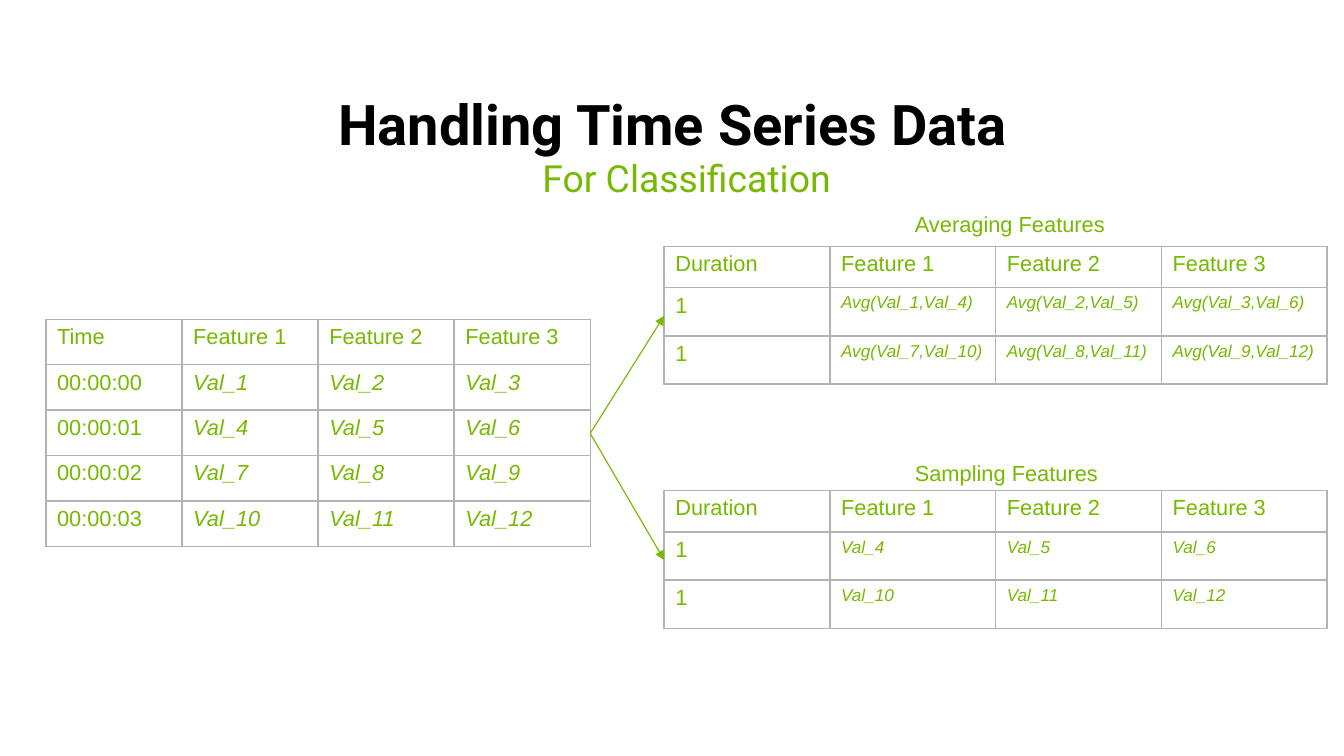
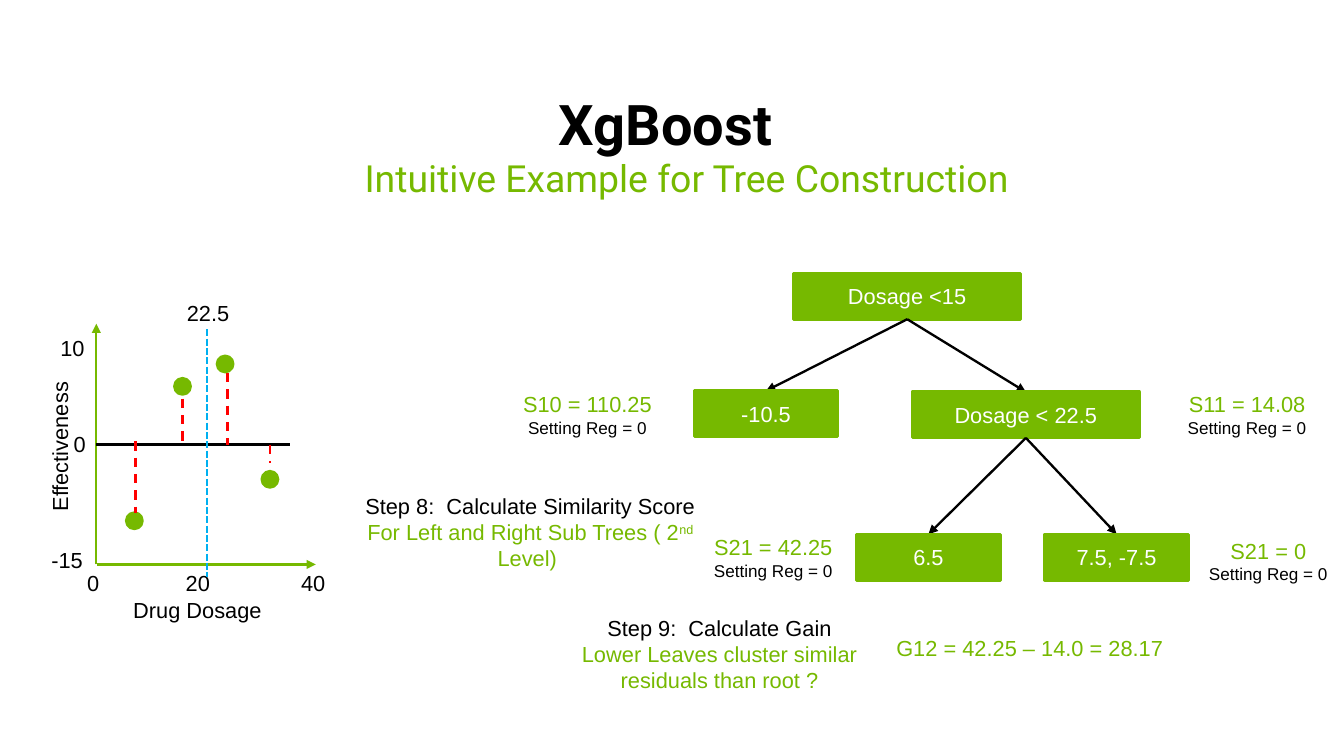
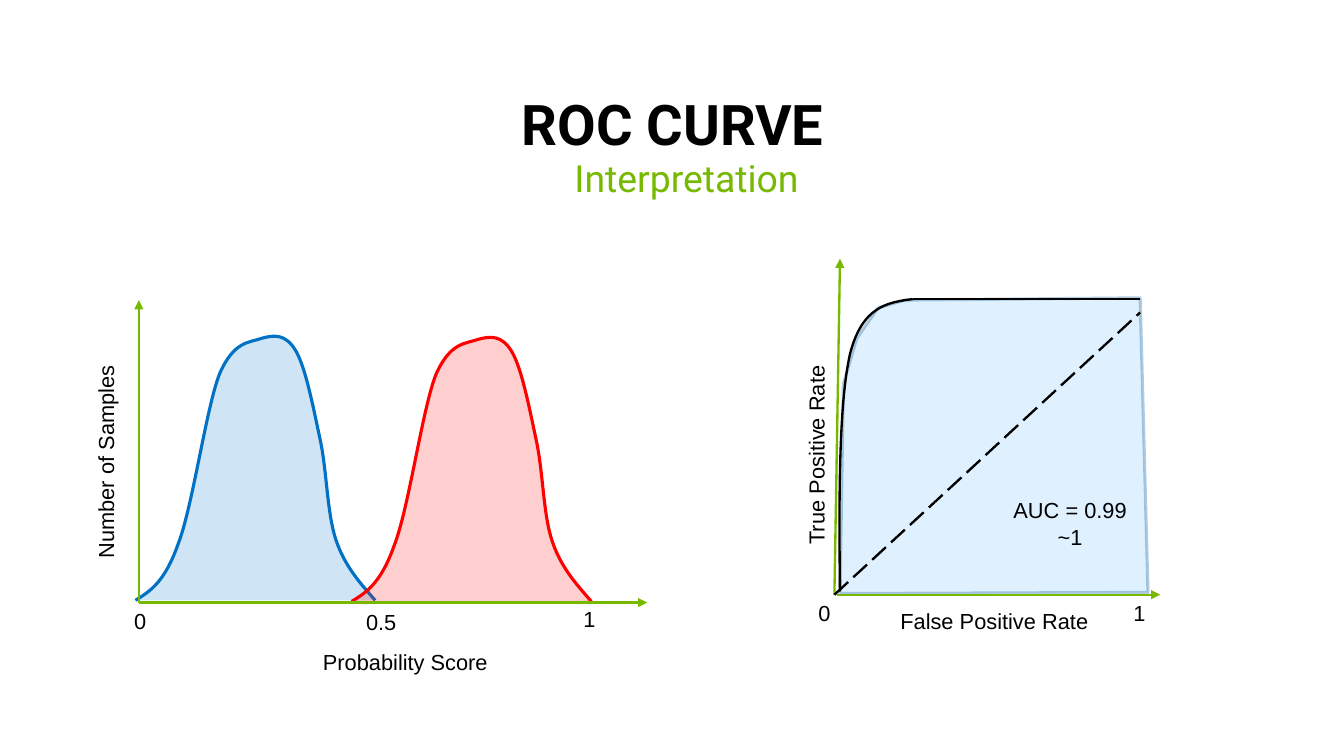
from lxml import etree
from pptx import Presentation
from pptx.dml.color import RGBColor
from pptx.enum.dml import MSO_LINE
from pptx.enum.shapes import MSO_CONNECTOR, MSO_SHAPE
from pptx.enum.text import MSO_ANCHOR, PP_ALIGN
from pptx.oxml.ns import qn
from pptx.util import Inches, Pt

LEFT, CENTER = PP_ALIGN.LEFT, PP_ALIGN.CENTER
TOP, MIDDLE, BOTTOM = MSO_ANCHOR.TOP, MSO_ANCHOR.MIDDLE, MSO_ANCHOR.BOTTOM
STRAIGHT = MSO_CONNECTOR.STRAIGHT
RECTANGLE, OVAL = MSO_SHAPE.RECTANGLE, MSO_SHAPE.OVAL
DASH, LONG_DASH, SHORT_DASH = MSO_LINE.DASH, MSO_LINE.LONG_DASH, MSO_LINE.SQUARE_DOT
color = RGBColor.from_string
GREEN, BLACK, WHITE, RED, GRAY = "76B900", "000000", "FFFFFF", "FF0000", "B3B3B3"
BLUE, CYAN, PALE_BLUE, DARK_BLUE = "0071C5", "00B0F0", "C0E4FF", "005492"


def add_text(slide, box, lines, align=LEFT, rotation=0, fill=None):
    frame = [Inches(length) for length in box]
    if fill:
        shape = slide.shapes.add_shape(RECTANGLE, *frame)
        shape.shadow.inherit = False
        shape.fill.solid()
        shape.fill.fore_color.rgb = color(fill)
        shape.line.color.rgb = color(fill)
        shape.line.width = Pt(2)
    else:
        shape = slide.shapes.add_textbox(*frame)
    shape.rotation = rotation
    text_frame = shape.text_frame
    text_frame.word_wrap = True
    text_frame.vertical_anchor = MIDDLE if fill else TOP
    for index, (text, size, text_color) in enumerate(lines):
        paragraph = text_frame.add_paragraph() if index else text_frame.paragraphs[0]
        paragraph.text = text
        paragraph.alignment = align
        paragraph.font.name = "Arial"
        paragraph.font.size = Pt(size)
        paragraph.font.color.rgb = color(text_color)
    return shape


def add_line(slide, start, end, line_color, width=1.5, dash=None, arrow=False):
    points = [Inches(length) for length in (*start, *end)]
    connector = slide.shapes.add_connector(STRAIGHT, *points)
    connector.line.color.rgb = color(line_color)
    connector.line.width = Pt(width)
    if dash:
        connector.line.dash_style = dash
    properties = connector._element.spPr
    if arrow:
        etree.SubElement(properties.find(qn("a:ln")), qn("a:tailEnd"), type="triangle")
    etree.SubElement(properties, qn("a:effectLst"))


presentation = Presentation()
presentation.slide_width = Inches(12)
presentation.slide_height = Inches(6.75)
slides = []
for title, subtitle in [
    ("Handling Time Series Data", "For Classification"),
    ("XgBoost ", "Intuitive Example for Tree Construction"),
    ("ROC CURVE", " Interpretation "),
]:
    slide = presentation.slides.add_slide(presentation.slide_layouts[6])
    slides.append(slide)
    heading = add_text(slide, (0.55, 0.81, 10.91, 0.65), [(title, 36, BLACK)], CENTER)
    heading.text_frame.vertical_anchor = BOTTOM
    heading.text_frame.paragraphs[0].font.bold = True
    subheading = add_text(slide, (0.55, 1.38, 10.91, 0.57), [(subtitle, 24, GREEN)], CENTER)
    indents = subheading.text_frame.paragraphs[0]._p.get_or_add_pPr()
    indents.set("marL", str(Inches(0.5)))
    indents.set("indent", str(Inches(-0.25)))
    for shape in (heading, subheading):
        paragraph = shape.text_frame.paragraphs[0]
        paragraph.line_spacing = 0.9
        paragraph.font.name = "Roboto"

series_slide, tree_slide, roc_slide = slides

features = ["Feature 1", "Feature 2", "Feature 3"]
values = [[f"Val_{3 * row + column}" for column in (1, 2, 3)] for row in range(4)]
series_rows = [[f"00:00:0{second}", *row] for second, row in enumerate(values)]
average_rows = [
    ["1", *(f"Avg({first},{second})" for first, second in zip(values[row], values[row + 1]))]
    for row in (0, 2)
]
sample_rows = [["1", *values[row]] for row in (1, 3)]
for left, top, width, heights, value_size, rows in [
    (0.41, 2.85, 4.86, [2.03 / 5] * 5, 14, [["Time", *features], *series_rows]),
    (5.93, 2.2, 5.92, [0.37, 0.43, 0.43], 11, [["Duration", *features], *average_rows]),
    (5.93, 4.38, 5.92, [0.37, 0.43, 0.43], 11, [["Duration", *features], *sample_rows]),
]:
    table = series_slide.shapes.add_table(
        len(rows), 4, Inches(left), Inches(top), Inches(width), Inches(sum(heights))
    ).table
    table.first_row = table.horz_banding = False
    for row_index, row in enumerate(rows):
        table.rows[row_index].height = Inches(heights[row_index])
        for column_index, text in enumerate(row):
            is_value = row_index > 0 and column_index > 0
            cell = table.cell(row_index, column_index)
            cell.text = text
            paragraph = cell.text_frame.paragraphs[0]
            paragraph.font.name = "Arial"
            paragraph.font.size = Pt(value_size if is_value else 14)
            paragraph.font.italic = is_value
            paragraph.font.color.rgb = color(GREEN)
            cell_properties = cell._tc.get_or_add_tcPr()
            for side in ("lnL", "lnR", "lnT", "lnB"):
                border = etree.SubElement(cell_properties, qn(f"a:{side}"), w=str(Pt(1)))
                border_fill = etree.SubElement(border, qn("a:solidFill"))
                etree.SubElement(border_fill, qn("a:srgbClr"), val=GRAY)
            cell.fill.background()

for caption, top, arrow_end in [("Averaging Features", 1.83, 2.82), ("Sampling Features", 4.06, 5)]:
    add_text(series_slide, (8.07, top, 2.04, 0.34), [(caption, 14, GREEN)])
    add_line(series_slide, (5.27, 3.87), (5.93, arrow_end), GREEN, 0.75, arrow=True)

add_line(tree_slide, (0.86, 5.04), (0.86, 2.89), GREEN, arrow=True)
add_line(tree_slide, (0.87, 5.04), (2.82, 5.04), GREEN, arrow=True)
for text, left, top, width, rotation in [
    ("Drug Dosage", 1.09, 5.28, 1.39, 0),
    ("Effectiveness", -0.16, 3.8, 1.39, 270),
    ("0", 0.68, 5.04, 0.32, 0),
    ("40", 2.59, 5.04, 0.46, 0),
    ("10", 0.44, 2.94, 0.46, 0),
    ("-15", 0.36, 4.83, 0.53, 0),
    ("0", 0.56, 3.8, 0.46, 0),
    ("20", 1.56, 5.04, 0.46, 0),
    ("22.5", 1.57, 2.63, 0.66, 0),
]:
    add_text(tree_slide, (left, top, width, 0.34), [(text, 14, BLACK)], rotation=rotation)

add_line(tree_slide, (0.86, 3.97), (2.59, 3.97), BLACK)
for left, top, residual_x, residual_top, residual_bottom in [
    (1.56, 3.38, 1.63, 3.56, 3.97),
    (1.94, 3.18, 2.03, 3.33, 3.97),
    (1.13, 4.58, 1.21, 3.94, 4.58),
    (2.34, 4.21, 2.41, 3.97, 4.13),
]:
    dot = tree_slide.shapes.add_shape(OVAL, Inches(left), Inches(top), Inches(0.14), Inches(0.14))
    dot.shadow.inherit = False
    dot.fill.solid()
    dot.fill.fore_color.rgb = color(GREEN)
    dot.line.color.rgb = color(GREEN)
    dot.line.width = Pt(2)
    add_line(tree_slide, (residual_x, residual_top), (residual_x, residual_bottom), RED, dash=DASH)
add_line(tree_slide, (1.85, 2.94), (1.85, 5.15), CYAN, dash=SHORT_DASH)

node_height = 0.41
root, split = (8.1, 2.44), (9.16, 3.5)
for text, center, top, width, parent in [
    ("Dosage <15", *root, 2.03, None),
    ("-10.5", 6.84, 3.49, 1.28, root),
    ("Dosage < 22.5", *split, 2.03, root),
    ("6.5", 8.29, 4.77, 1.28, split),
    ("7.5, -7.5", 9.97, 4.77, 1.28, split),
]:
    if parent:
        add_line(tree_slide, (parent[0], parent[1] + node_height), (center, top), BLACK, arrow=True)
    node_box = (center - width / 2, top, width, node_height)
    add_text(tree_slide, node_box, [(text, 14, WHITE)], CENTER, fill=GREEN)

for score, left, top in [
    ("S10 = 110.25", 4.4, 3.44),
    ("S21 = 42.25", 6.06, 4.72),
    ("S11 = 14.08", 10.29, 3.44),
    ("S21 = 0", 10.48, 4.75),
]:
    lines = [(score, 14, GREEN), ("Setting Reg = 0", 11, BLACK)]
    add_text(tree_slide, (left, top, 1.69, 0.54), lines, CENTER)

add_text(tree_slide, (7.75, 5.62, 2.89, 0.34), [("G12 = 42.25 – 14.0 = 28.17", 14, GREEN)], CENTER)
step_8 = add_text(tree_slide, (3.14, 4.35, 3.19, 0.81), [
    ("Step 8:  Calculate Similarity Score", 14, BLACK),
    ("For Left and Right Sub Trees ( 2", 14, GREEN),
], CENTER)
ordinal = step_8.text_frame.paragraphs[1].add_run()
ordinal.text = "nd"
ordinal._r.get_or_add_rPr().set("baseline", "30000")
step_8.text_frame.paragraphs[1].add_run().text = " Level) "
add_text(tree_slide, (4.83, 5.44, 3.19, 0.81), [
    ("Step 9:  Calculate Gain", 14, BLACK),
    ("Lower Leaves cluster similar residuals than root ?", 14, GREEN),
], CENTER)

bell = [
    (1.21, 5.36), (1.34, 5.28), (1.47, 5.2), (1.59, 4.86), (1.72, 4.53), (1.84, 3.65),
    (1.96, 3.34), (2.09, 3.04), (2.23, 3.06), (2.34, 3.02), (2.45, 2.99), (2.55, 2.98),
    (2.64, 3.13), (2.73, 3.28), (2.8, 3.65), (2.86, 3.93), (2.92, 4.21), (2.92, 4.58),
    (3, 4.82), (3.08, 5.06), (3.22, 5.21), (3.35, 5.36),
]
second_bell = [(x + 1.93, y + 0.01) for x, y in bell]
rise = [(7.5, 5.28), (7.49, 4.44), (7.49, 3.6), (7.59, 3.16), (7.7, 2.73), (7.93, 2.7), (8.15, 2.67)]
area = [(7.5, 5.3), (7.53, 3.43), (7.65, 3.02), (7.84, 2.75), (8.08, 2.68), (10.18, 2.66), (10.25, 5.29)]
for points, curved, fill, fill_alpha, line_color, line_alpha, width in [
    (area, False, PALE_BLUE, 50, DARK_BLUE, 30, 2),
    (rise, True, None, None, BLACK, 100, 1.5),
    (bell, True, BLUE, 19, BLUE, 100, 2),
    (second_bell, True, RED, 19, RED, 100, 2),
]:
    outline = [(Inches(x), Inches(y)) for x, y in points]
    builder = roc_slide.shapes.build_freeform(*outline[0])
    builder.add_line_segments(outline[1:], close=not curved)
    shape = builder.convert_to_shape()
    shape.shadow.inherit = False
    properties = shape._element.spPr
    if curved:
        segments = list(properties.iter(qn("a:lnTo")))
        for first, second, third in zip(segments[::3], segments[1::3], segments[2::3]):
            curve = etree.Element(qn("a:cubicBezTo"))
            first.addprevious(curve)
            for segment in (first, second, third):
                curve.append(segment[0])
                segment.getparent().remove(segment)
    shape.line.color.rgb = color(line_color)
    shape.line.width = Pt(width)
    if fill:
        shape.fill.solid()
        shape.fill.fore_color.rgb = color(fill)
        color_elements = list(properties.iter(qn("a:srgbClr")))
        for element, alpha in zip(color_elements, (fill_alpha, line_alpha)):
            etree.SubElement(element, qn("a:alpha"), val=str(alpha * 1000))
    else:
        shape.fill.background()

for start, end in [
    ((1.24, 5.38), (1.24, 2.68)),
    ((1.24, 5.38), (5.78, 5.38)),
    ((7.45, 5.31), (7.5, 2.31)),
    ((7.47, 5.31), (10.36, 5.31)),
]:
    add_line(roc_slide, start, end, GREEN, arrow=True)
add_line(roc_slide, (7.45, 5.31), (10.18, 2.79), BLACK, dash=LONG_DASH)
add_line(roc_slide, (8.15, 2.67), (10.18, 2.67), BLACK)

for text, box, align, rotation in [
    ("0", (1.1, 5.38, 0.37, 0.41), LEFT, 0),
    ("0.5", (3.17, 5.39, 0.69, 0.41), LEFT, 0),
    ("1", (5.11, 5.36, 0.69, 0.41), LEFT, 0),
    ("Probability Score", (1.57, 5.74, 4.1, 0.41), CENTER, 0),
    ("Number of Samples", (-0.93, 3.91, 3.84, 0.43), CENTER, 270),
    ("False Positive Rate", (7.94, 5.38, 2.91, 0.49), LEFT, 0),
    ("0", (7.21, 5.31, 0.26, 0.49), LEFT, 0),
    ("1", (10.02, 5.31, 0.68, 0.49), LEFT, 0),
    ("True Positive Rate", (5.69, 3.03, 3.36, 0.5), LEFT, 270),
    ("AUC = 0.99 ~1", (8.93, 4.39, 1.25, 0.57), CENTER, 0),
]:
    add_text(roc_slide, box, [(text, 14, BLACK)], align, rotation)

presentation.save("out.pptx")
